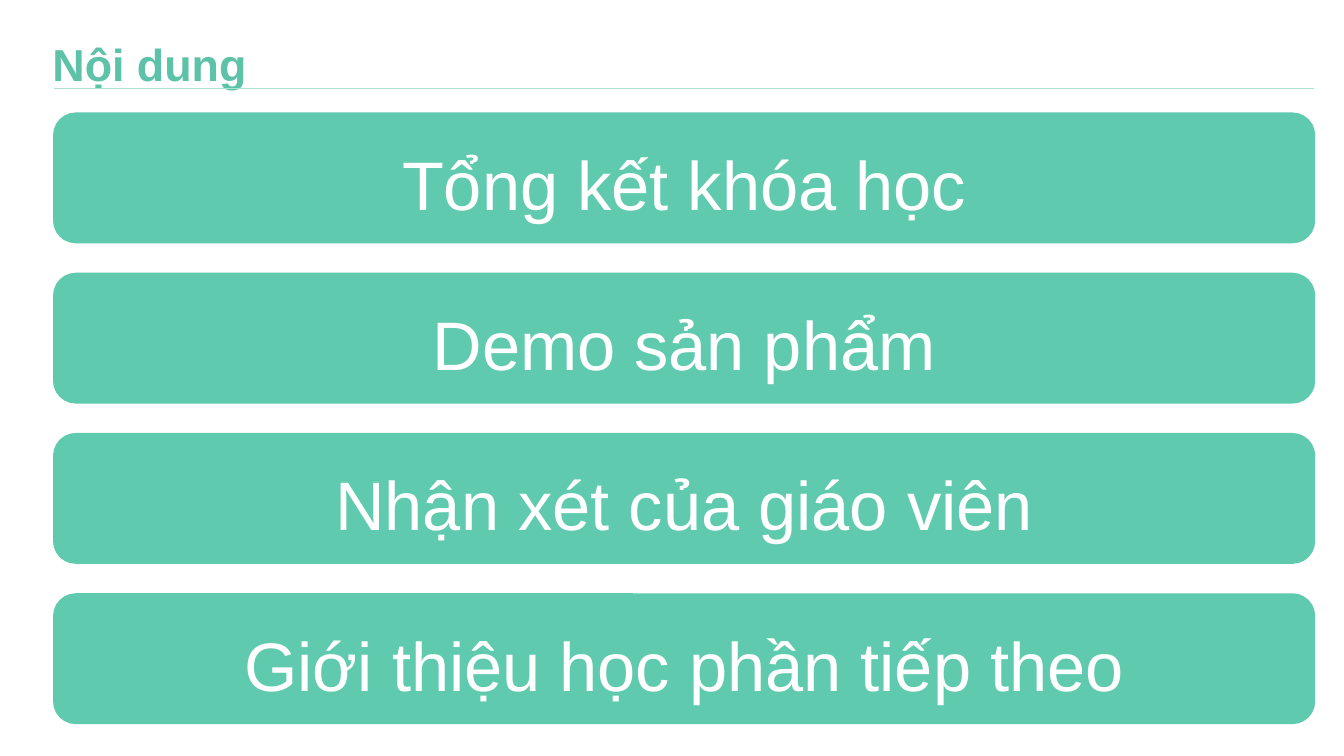
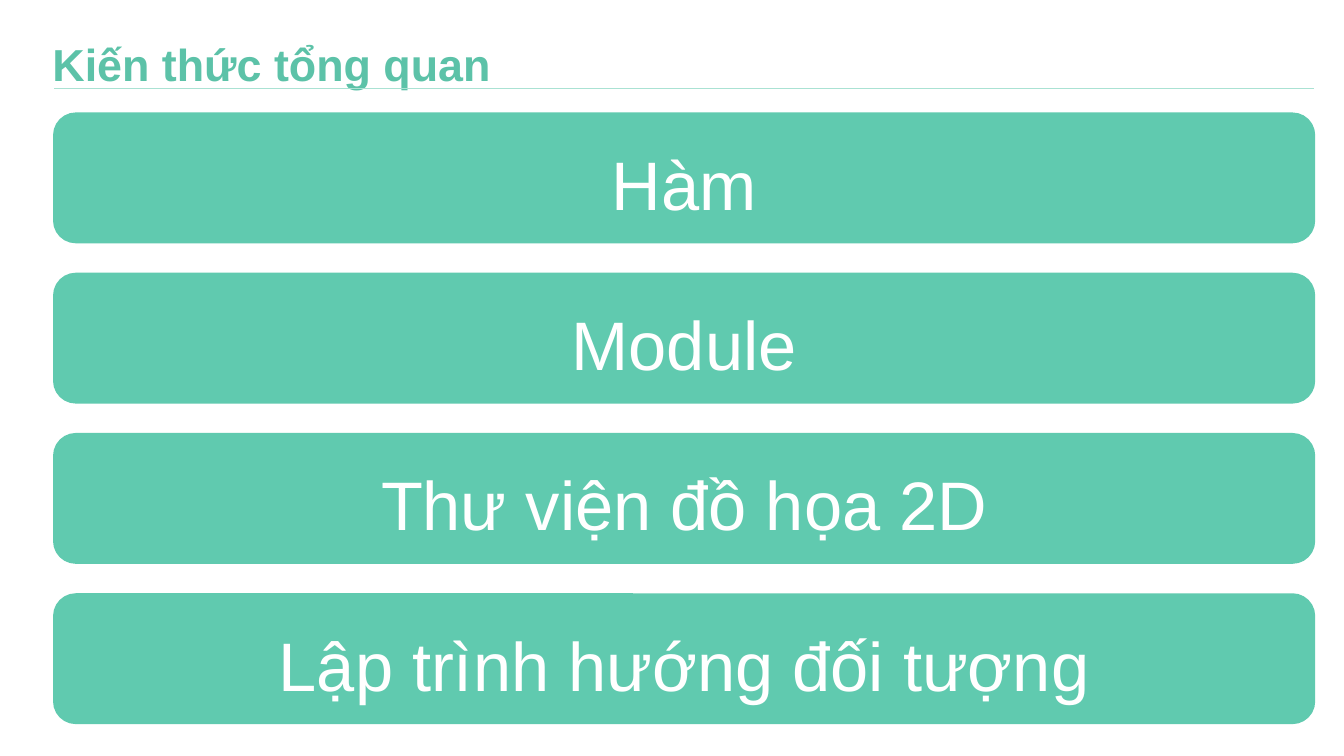
from dataclasses import dataclass

from pptx import Presentation
from pptx.dml.color import RGBColor
from pptx.enum.shapes import MSO_CONNECTOR, MSO_SHAPE
from pptx.enum.text import MSO_ANCHOR, MSO_AUTO_SIZE, PP_ALIGN
from pptx.oxml.ns import qn
from pptx.presentation import Presentation as Deck
from pptx.slide import Slide
from pptx.text.text import TextFrame
from pptx.util import Inches, Pt
from lxml import etree

STRAIGHT = MSO_CONNECTOR.STRAIGHT
ROUNDED = MSO_SHAPE.ROUNDED_RECTANGLE
TOP, MIDDLE = MSO_ANCHOR.TOP, MSO_ANCHOR.MIDDLE
JUSTIFY, CENTER = PP_ALIGN.JUSTIFY, PP_ALIGN.CENTER
NO_AUTOFIT = MSO_AUTO_SIZE.NONE
TITLE_ONLY = 5


@dataclass(frozen=True)
class Theme:
    font: str = "Arial"
    title_color: RGBColor = RGBColor(0x5C, 0xC2, 0xA8)
    rule_color: RGBColor = RGBColor(0xAA, 0xE2, 0xD3)
    bar_color: RGBColor = RGBColor(0x60, 0xCA, 0xAF)
    bar_text: RGBColor = RGBColor(0xFF, 0xFF, 0xFF)
    title_size: float = 32
    bar_size: float = 49
    rule_width: float = 0.75
    bar_line: float = 2


@dataclass(frozen=True)
class Grid:
    left: float = 0.54
    width: float = 12.49
    top: float = 1.13
    row_height: float = 1.27
    row_pitch: float = 1.59
    rule_top: float = 0.88

    def row_top(self, row: int) -> float:
        return self.top + row * self.row_pitch


@dataclass(frozen=True)
class Page:
    title: str
    topics: tuple[str, ...]


THEME = Theme()
GRID = Grid()
TITLE_FORMAT = {
    "name": THEME.font, "size": Pt(THEME.title_size), "bold": True,
}
BAR_FORMAT = {
    "name": THEME.font, "size": Pt(THEME.bar_size), "bold": False,
}
TITLE_FRAME = {
    "word_wrap": True, "auto_size": NO_AUTOFIT, "vertical_anchor": TOP,
    "margin_left": Inches(0.1), "margin_right": Inches(0.1),
    "margin_top": Inches(0.1), "margin_bottom": Inches(0),
}
BAR_FRAME = TITLE_FRAME | {"vertical_anchor": MIDDLE}
TITLE_PLACE = {
    "left": Inches(0.42), "top": Inches(0.26),
    "width": Inches(10.79), "height": Inches(0.52),
}

PAGES = (
    Page("Nội dung", (
        "Tổng kết khóa học",
        "Demo sản phẩm",
        "Nhận xét của giáo viên",
        "Giới thiệu học phần tiếp theo",
    )),
    Page("Kiến thức tổng quan", (
        "Hàm",
        "Module",
        "Thư viện đồ họa 2D",
        "Lập trình hướng đối tượng",
    )),
)


def apply_format(target: object, values: dict[str, object]) -> None:
    for name, value in values.items():
        setattr(target, name, value)


def write_text(frame: TextFrame, text: str, frame_format: dict[str, object],
               font_format: dict[str, object], color: RGBColor,
               alignment: PP_ALIGN) -> None:
    apply_format(frame, frame_format)
    para = frame.paragraphs[0]
    apply_format(para, {"alignment": alignment, "line_spacing": 1.0,
                        "space_before": Pt(0)})
    span = para.add_run()
    span.text = text
    apply_format(span.font, font_format)
    span.font.color.rgb = color


def draw_rule(slide: Slide) -> None:
    height = Inches(GRID.rule_top)
    rule = slide.shapes.add_connector(
        STRAIGHT, Inches(GRID.left), height,
        Inches(GRID.left + GRID.width), height)
    rule.line.color.rgb = THEME.rule_color
    rule.line.width = Pt(THEME.rule_width)
    etree.SubElement(rule._element.spPr, qn("a:effectLst"))


def draw_title(slide: Slide, text: str) -> None:
    title = slide.shapes.title
    apply_format(title, TITLE_PLACE)
    write_text(title.text_frame, text, TITLE_FRAME, TITLE_FORMAT,
               THEME.title_color, JUSTIFY)


def draw_bar(slide: Slide, row: int, text: str) -> None:
    bar = slide.shapes.add_shape(
        ROUNDED, Inches(GRID.left), Inches(GRID.row_top(row)),
        Inches(GRID.width), Inches(GRID.row_height))
    bar.shadow.inherit = False
    bar.fill.solid()
    bar.fill.fore_color.rgb = THEME.bar_color
    bar.line.color.rgb = THEME.bar_color
    bar.line.width = Pt(THEME.bar_line)
    write_text(bar.text_frame, text, BAR_FRAME, BAR_FORMAT,
               THEME.bar_text, CENTER)


def draw_page(deck: Deck, page: Page) -> None:
    slide = deck.slides.add_slide(deck.slide_layouts[TITLE_ONLY])
    draw_rule(slide)
    draw_title(slide, page.title)
    for row, topic in enumerate(page.topics):
        draw_bar(slide, row, topic)


def main() -> None:
    deck = Presentation()
    deck.slide_width = Inches(13.33)
    deck.slide_height = Inches(7.5)
    for page in PAGES:
        draw_page(deck, page)
    deck.save("out.pptx")


if __name__ == "__main__":
    main()
